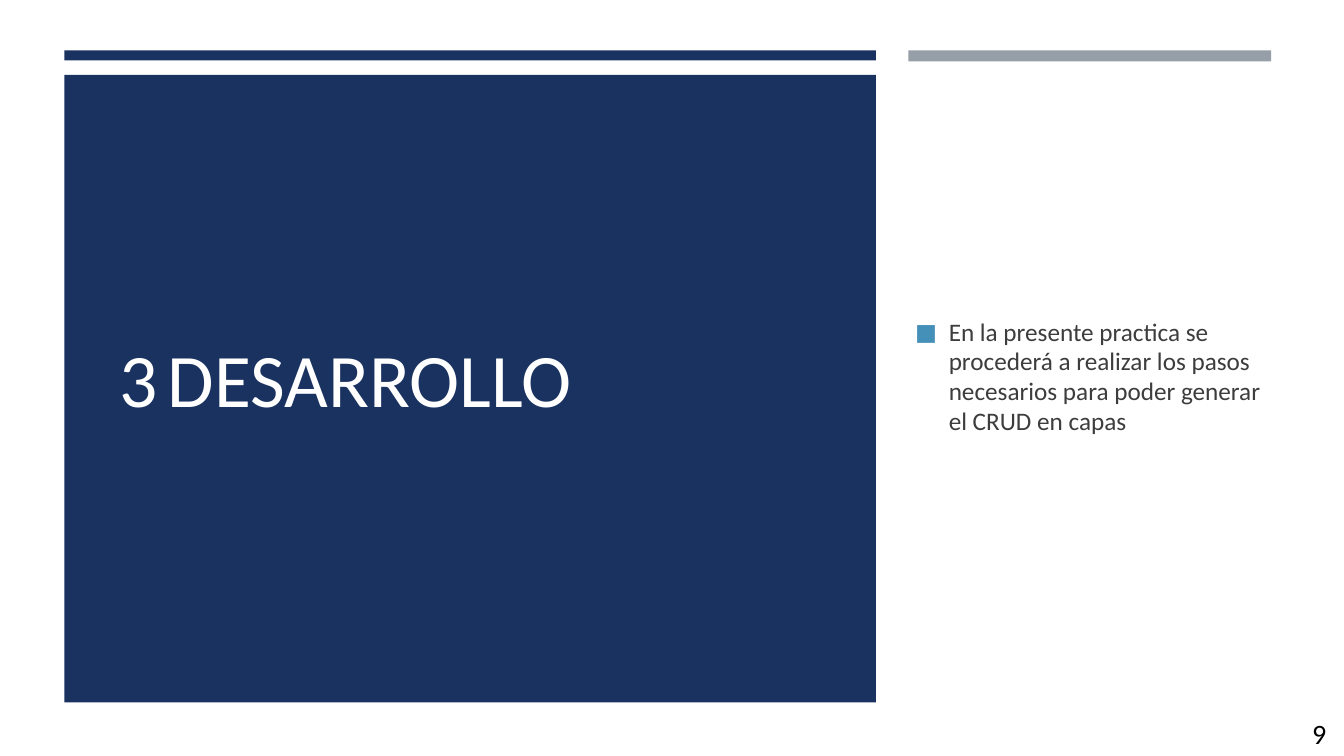
import pptx
import pptx.dml.color
import pptx.enum.shapes
import pptx.enum.text
import pptx.oxml
import pptx.oxml.ns
import pptx.util
from lxml import etree

Pt = pptx.util.Pt
FONT = "Calibri"
COLORS = {
    "white": "FFFFFF",
    "navy": "1A3260",
    "grey": "969FA7",
    "bullet": "4590B8",
    "body": "3D3D3D",
    "black": "000000",
}
TAB_STOP = 34.5
BULLET_INDENT = 24


def rgb(name):
    return pptx.dml.color.RGBColor.from_string(COLORS[name])


def add_block(slide, box, color):
    block = slide.shapes.add_shape(
        pptx.enum.shapes.MSO_SHAPE.RECTANGLE, *map(Pt, box))
    block.shadow.inherit = False
    block.fill.solid()
    block.fill.fore_color.rgb = rgb(color)
    block.line.fill.background()


def add_text(slide, box, text, size, color, anchor):
    frame = slide.shapes.add_textbox(*map(Pt, box)).text_frame
    frame.word_wrap = True
    frame.vertical_anchor = anchor
    paragraph = frame.paragraphs[0]
    run = paragraph.add_run()
    run.text = text
    run.font.name = FONT
    run.font.size = Pt(size)
    run.font.color.rgb = rgb(color)
    return paragraph


def add_property(paragraph, tag, **attributes):
    properties = paragraph._p.get_or_add_pPr()
    return etree.SubElement(properties, pptx.oxml.ns.qn(tag), attributes)


def add_title_panel(slide, box):
    left, top, width, height = box
    # Accent bar above the panel
    add_block(slide, (left, top, width, 7.2), "navy")
    add_block(slide, (left, top + 17.5, width, height - 17.5), "navy")
    # Numbered section title
    title = add_text(slide, (left + 32.4, top + 54.7, 518.4, 357.1),
                     "3\tDESARROLLO", 54, "white",
                     pptx.enum.text.MSO_ANCHOR.MIDDLE)
    tabs = add_property(title, "a:tabLst")
    etree.SubElement(tabs, pptx.oxml.ns.qn("a:tab"),
                     pos=str(Pt(TAB_STOP)), algn="l")


def add_summary(slide, box):
    left, top, width, height = box
    # Accent bar above the summary
    add_block(slide, (left, top, width, 7.9), "grey")
    # Bulleted summary
    summary = add_text(
        slide, (left - 2.2, top + 54.7, width + 8.6, 357.1),
        "En la presente practica se procederá a realizar los pasos "
        "necesarios para poder generar el CRUD en capas",
        18, "body", pptx.enum.text.MSO_ANCHOR.MIDDLE)
    summary.line_spacing = 0.98
    summary.space_before = Pt(3.6)
    summary.space_after = Pt(6)
    properties = summary._p.get_or_add_pPr()
    properties.set("marL", str(Pt(BULLET_INDENT)))
    properties.set("indent", str(-Pt(BULLET_INDENT)))
    bullet_color = add_property(summary, "a:buClr")
    etree.SubElement(bullet_color, pptx.oxml.ns.qn("a:srgbClr"),
                     val=COLORS["bullet"])
    add_property(summary, "a:buSzPct", val="92000")
    add_property(summary, "a:buFont", typeface=FONT)
    add_property(summary, "a:buChar", char="■")


def add_page_number(slide, box):
    add_text(slide, box, "9", 20, "black", pptx.enum.text.MSO_ANCHOR.TOP)


def main():
    deck = pptx.Presentation()
    deck.slide_width, deck.slide_height = Pt(960), Pt(540)
    slide = deck.slides.add_slide(deck.slide_layouts[6])
    slide.background.fill.solid()
    slide.background.fill.fore_color.rgb = rgb("white")
    add_title_panel(slide, (46, 36, 579.6, 465.8))
    add_summary(slide, (648.8, 36, 259.2, 465.8))
    add_page_number(slide, (930.2, 508.3, 29.5, 31.7))
    deck.save("out.pptx")


if __name__ == "__main__":
    main()
